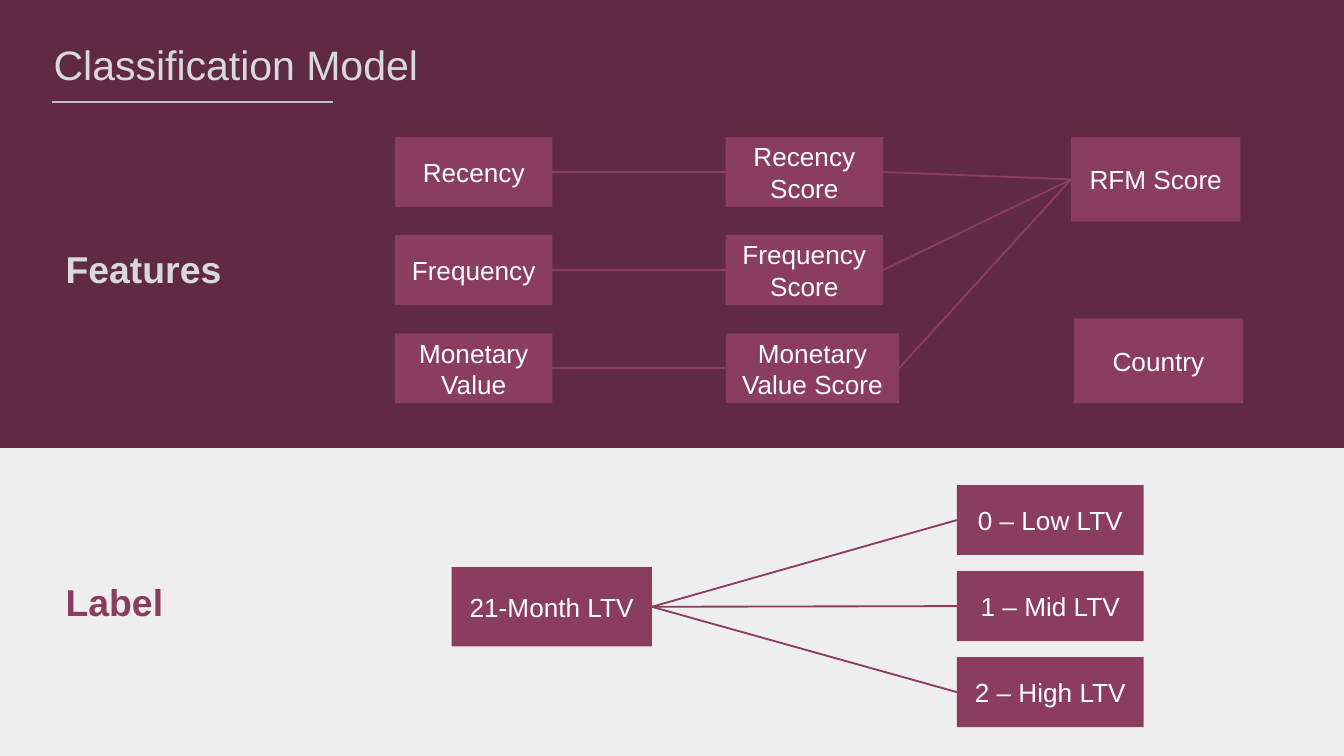
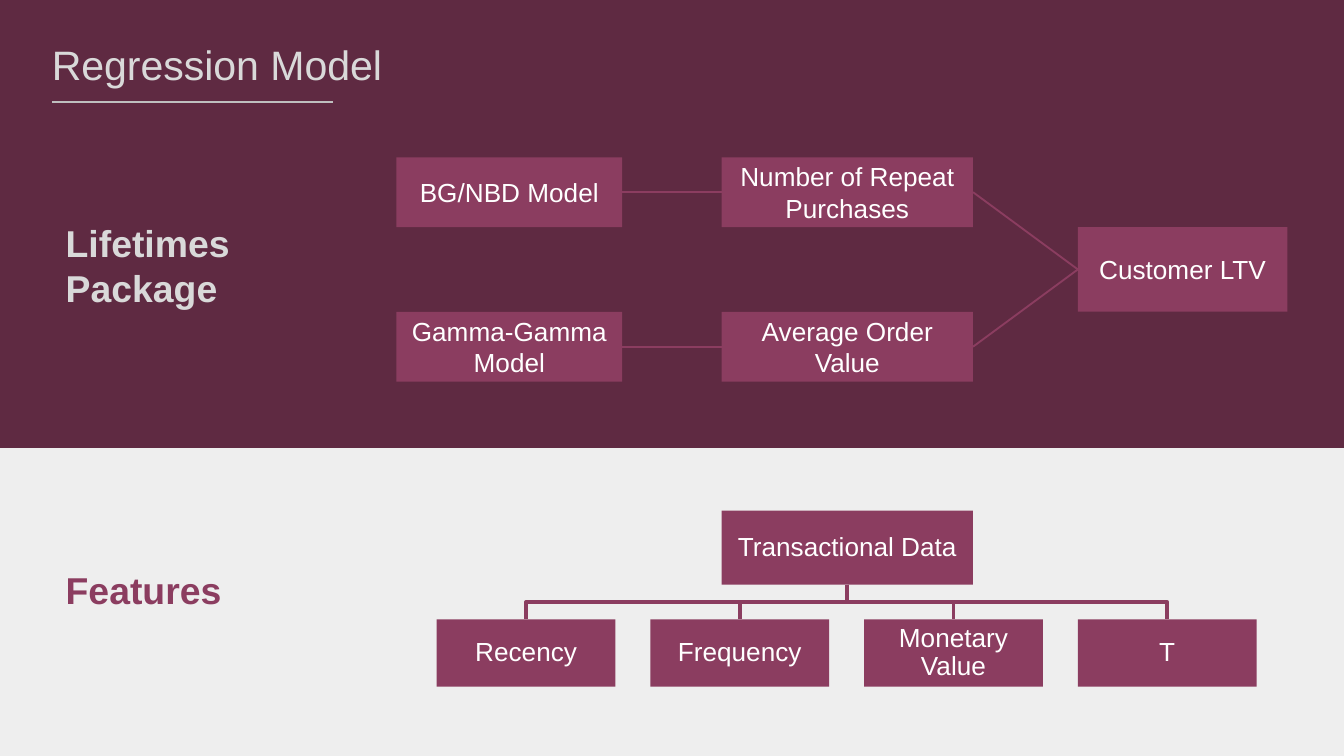
"""Build two slides that chart the classification and regression models."""
from lxml import etree
from pptx import Presentation
from pptx import util as u
from pptx.dml.color import RGBColor
from pptx.enum import shapes, text
from pptx.oxml import ns

SLIDE_WIDTH = 10
SLIDE_HEIGHT = SLIDE_WIDTH * 9 / 16
BAND_TOP = SLIDE_WIDTH / 3
MARGINS = ("margin_left", "margin_top", "margin_right", "margin_bottom")
THEME = {
    "dark": RGBColor.from_string("5F2A42"),
    "light": RGBColor.from_string("EEEEEE"),
    "accent": RGBColor.from_string("8B3D60"),
    "pale": RGBColor.from_string("D9D9D9"),
    "rule": RGBColor.from_string("BFBFBF"),
    "white": RGBColor.from_string("FFFFFF"),
    "font": "Arial",
    "title_size": u.Pt(22),
    "label_size": u.Pt(20),
    "box_size": u.Pt(14),
    "line_width": u.Pt(1),
    "tree_width": u.Pt(2),
}
TITLE = {
    "font": {"size": THEME["title_size"]},
    "colour": THEME["pale"],
    "frame": {"vertical_anchor": text.MSO_ANCHOR.BOTTOM, **dict.fromkeys(MARGINS, u.Inches(0.1))},
    "paragraph": {"alignment": text.PP_ALIGN.CENTER},
}
UPPER_LABEL = {
    "font": {"size": THEME["label_size"], "bold": True},
    "colour": THEME["pale"],
    "frame": {"auto_size": text.MSO_AUTO_SIZE.SHAPE_TO_FIT_TEXT},
    "paragraph": {},
}
LOWER_LABEL = {**UPPER_LABEL, "colour": THEME["accent"]}
BOX = {
    "fill": THEME["accent"],
    "font": {"size": THEME["box_size"]},
    "colour": THEME["white"],
    "frame": {"vertical_anchor": text.MSO_ANCHOR.MIDDLE},
    "paragraph": {"alignment": text.PP_ALIGN.CENTER},
}
TREE_BOX = {
    **BOX,
    "frame": {**BOX["frame"], **dict.fromkeys(MARGINS, u.Inches(0.01))},
    "paragraph": {**BOX["paragraph"], "line_spacing": 0.9},
}
BAND = {**BOX, "fill": THEME["light"]}
TOP, LEFT, BOTTOM, RIGHT = range(4)


def add_block(slide, words, place, style):
    place = [u.Inches(value) for value in place]
    if "fill" in style:
        shape = slide.shapes.add_shape(shapes.MSO_SHAPE.RECTANGLE, *place)
        shape.shadow.inherit = False
        shape.fill.solid()
        shape.fill.fore_color.rgb = style["fill"]
        shape.line.fill.background()
    else:
        shape = slide.shapes.add_textbox(*place)
    if words:
        frame = shape.text_frame
        paragraph = frame.paragraphs[0]
        run = paragraph.add_run()
        run.text = words
        run.font.color.rgb = style["colour"]
        formats = (
            (frame, {"word_wrap": True, **style["frame"]}),
            (paragraph, style["paragraph"]),
            (run.font, {"name": THEME["font"], **style["font"]}),
        )
        for target, values in formats:
            for name, value in values.items():
                setattr(target, name, value)
    return shape


def add_line(slide, ends, colour):
    line = slide.shapes.add_connector(
        shapes.MSO_CONNECTOR.STRAIGHT, *[u.Inches(value) for value in ends]
    )
    line.line.color.rgb = colour
    line.line.width = THEME["line_width"]
    etree.SubElement(line._element.spPr, ns.qn("a:effectLst"))
    return line


classification = {
    "title": ("Classification Model", (0, 0.24, 3.51, 0.52)),
    "upper": ("Features", (0.39, 1.78, 1.64, 0.44)),
    "lower": ("Label", (0.39, 4.26, 1.64, 0.44)),
    "boxes": {
        "RFM Score": (7.97, 1.02, 1.26, 0.63),
        "Country": (7.99, 2.37, 1.26, 0.63),
        "21-Month LTV": (3.36, 4.22, 1.49, 0.59),
    },
    "links": [],
}
for row, measure in enumerate(("Recency", "Frequency", "Monetary Value")):
    score = f"{measure} Score"
    top = 1.02 + 0.73 * row
    score_width = 1.29 if measure == "Monetary Value" else 1.17
    classification["boxes"][measure] = (2.94, top, 1.17, 0.52)
    classification["boxes"][score] = (5.4, top, score_width, 0.52)
    classification["links"] += [(measure, score), (score, "RFM Score")]
for row, level in enumerate(("0 – Low LTV", "1 – Mid LTV", "2 – High LTV")):
    classification["boxes"][level] = (7.12, 3.61 + 0.64 * row, 1.39, 0.52)
    classification["links"].append(("21-Month LTV", level))

regression = {
    "title": ("Regression Model", (0.28, 0.24, 2.67, 0.52)),
    "upper": ("Lifetimes Package", (0.39, 1.59, 2.19, 0.77)),
    "lower": ("Features", (0.39, 4.17, 2.19, 0.44)),
    "boxes": {"Customer LTV": (8.02, 1.69, 1.56, 0.63)},
    "links": [],
}
model_outputs = (
    ("BG/NBD Model", "Number of Repeat Purchases"),
    ("Gamma-Gamma Model", "Average Order Value"),
)
for row, (model, output) in enumerate(model_outputs):
    top = 1.17 + 1.15 * row
    regression["boxes"][model] = (2.95, top, 1.68, 0.52)
    regression["boxes"][output] = (5.37, top, 1.87, 0.52)
    regression["links"] += [(model, output), (output, "Customer LTV")]

presentation = Presentation()
presentation.slide_width = u.Inches(SLIDE_WIDTH)
presentation.slide_height = u.Inches(SLIDE_HEIGHT)
master = presentation.slide_master
background = master.background.fill
background.solid()
background.fore_color.rgb = THEME["dark"]
blank = presentation.slide_layouts[6]
slides = [presentation.slides.add_slide(blank) for _ in range(2)]
band_place = (0, BAND_TOP, SLIDE_WIDTH, SLIDE_HEIGHT - BAND_TOP)
band = add_block(slides[0], "", band_place, BAND)
master.shapes._spTree.append(band._element)

for slide, content in zip(slides, (classification, regression)):
    add_block(slide, *content["title"], TITLE)
    add_line(slide, (0.39, 0.76, 2.48, 0.76), THEME["rule"])
    add_block(slide, *content["upper"], UPPER_LABEL)
    add_block(slide, *content["lower"], LOWER_LABEL)
    boxes = {
        words: add_block(slide, words, place, BOX)
        for words, place in content["boxes"].items()
    }
    for source, target in content["links"]:
        link = add_line(slide, (0, 0, 0, 0), THEME["accent"])
        link.begin_connect(boxes[source], RIGHT)
        link.end_connect(boxes[target], LEFT)

root_x, root_bottom, bus_y, leaf_top = 6.3, 4.35, 4.48, 4.61
leaf_width = 1.33
leaves = ("Recency", "Frequency", "Monetary Value", "T")
for column, feature in enumerate(leaves):
    left = 3.25 + 1.59 * column
    leaf_x = left + leaf_width / 2
    builder = slide.shapes.build_freeform(u.Inches(root_x), u.Inches(root_bottom))
    corners = ((root_x, bus_y), (leaf_x, bus_y), (leaf_x, leaf_top))
    builder.add_line_segments([(u.Inches(x), u.Inches(y)) for x, y in corners], close=False)
    branch = builder.convert_to_shape()
    branch.shadow.inherit = False
    branch.fill.background()
    branch.line.color.rgb = THEME["accent"]
    branch.line.width = THEME["tree_width"]
    add_block(slide, feature, (left, leaf_top, leaf_width, 0.5), TREE_BOX)
add_block(slide, "Transactional Data", (5.37, 3.8, 1.87, 0.55), TREE_BOX)

presentation.save("out.pptx")
